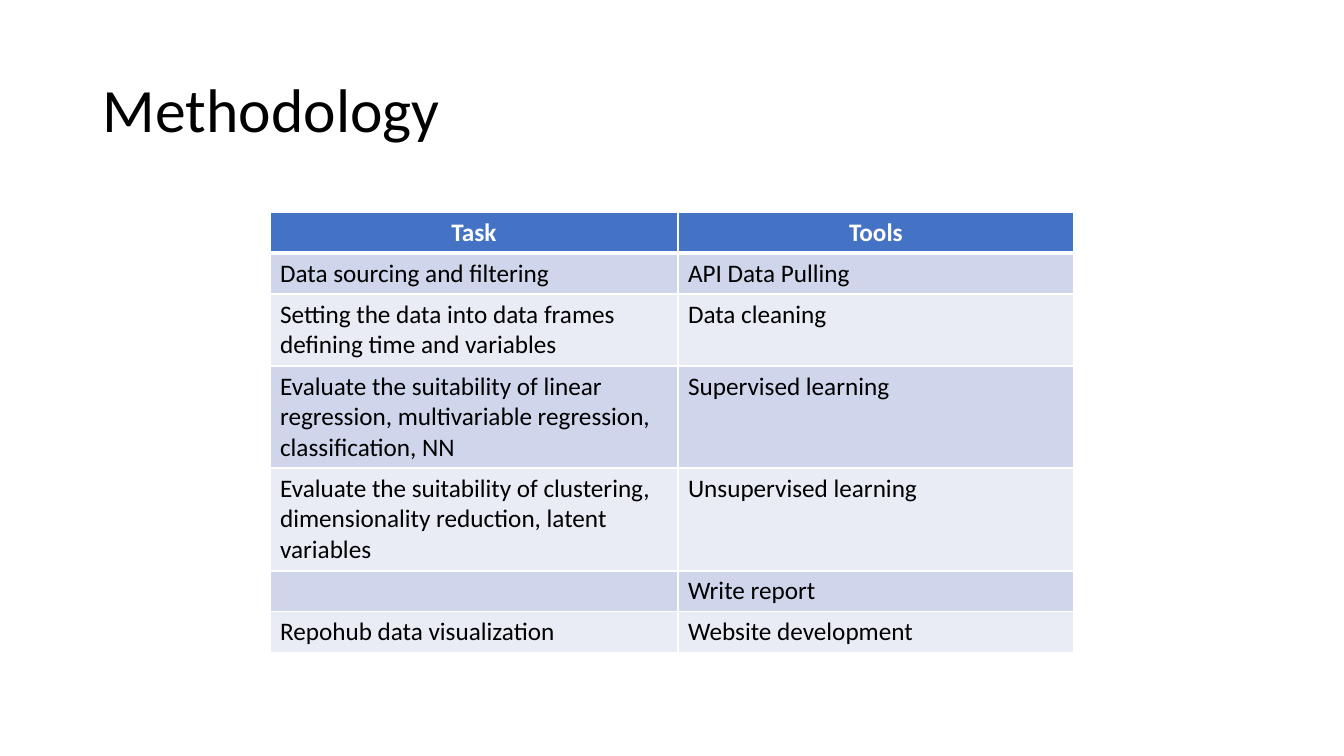
from lxml.etree import SubElement
from pptx import Presentation
from pptx.dml.color import RGBColor
from pptx.enum.text import MSO_ANCHOR, PP_ALIGN
from pptx.oxml.ns import qn
from pptx.util import Emu, Pt

COLORS = {"text": "000000", "white": "FFFFFF", "header": "4472C4",
          "band_dark": "CFD5EA", "band_light": "E9EBF5"}
PX = 914400 / 100.8


def px(n):
    return Emu(round(n * PX))


class SlideBuilder:
    font = "Calibri"

    def __init__(self, prs):
        self.s = prs.slides.add_slide(prs.slide_layouts[6])

    def put_text(self, tf, text, color="text", size=18, bold=False, **para):
        p = tf.paragraphs[0]
        for name, value in para.items():
            setattr(p, name, value)
        if not text:
            return
        r = p.add_run()
        r.text = text
        for name, value in {"name": self.font, "size": Pt(size), "bold": bold}.items():
            setattr(r.font, name, value)
        r.font.color.rgb = RGBColor.from_string(COLORS[color])

    def text(self, box, text, **style):
        tf = self.s.shapes.add_textbox(*map(px, box)).text_frame
        for name, value in {"word_wrap": True, "vertical_anchor": MSO_ANCHOR.MIDDLE}.items():
            setattr(tf, name, value)
        self.put_text(tf, text, **style)

    def borders(self, cell, **widths):
        tcPr = cell._tc.get_or_add_tcPr()
        for side in "LRTB":
            ln = SubElement(tcPr, qn(f"a:ln{side}"), w=str(int(Pt(widths.get(side, 1)))))
            fill = SubElement(ln, qn("a:solidFill"))
            SubElement(fill, qn("a:srgbClr"), val=COLORS["white"])

    def table(self, left, top, widths, heights, rows):
        box = (left, top, sum(widths), sum(heights))
        table = self.s.shapes.add_table(len(rows), len(widths), *map(px, box)).table
        for column, width in zip(table.columns, widths):
            column.width = px(width)
        for i, (row, height) in enumerate(zip(rows, heights)):
            table.rows[i].height = px(height)
            if i == 0:
                fill, edges = "header", {"B": 3}
                style = {"color": "white", "bold": True, "alignment": PP_ALIGN.CENTER}
            else:
                fill, edges = ("band_dark" if i % 2 else "band_light"), {}
                style = {}
            if i == 1:
                edges = {"T": 3}
            for j, text in enumerate(row):
                cell = table.cell(i, j)
                self.borders(cell, **edges)
                cell.fill.solid()
                cell.fill.fore_color.rgb = RGBColor.from_string(COLORS[fill])
                self.put_text(cell.text_frame, text, **style)


prs = Presentation()
prs.slide_width, prs.slide_height = px(1344), px(756)
slide = SlideBuilder(prs)

# Title
slide.text((93, 40, 1159, 146), "Methodology", size=44, line_spacing=0.9)

# Tasks and the tools they use
slide.table(270, 212, (408, 396), (41, 41, 72, 102, 103, 40, 41), [
    ("Task", "Tools"),
    ("Data sourcing and filtering", "API Data Pulling"),
    ("Setting the data into data frames defining time and variables", "Data cleaning"),
    ("Evaluate the suitability of linear regression, multivariable regression, "
     "classification, NN", "Supervised learning"),
    ("Evaluate the suitability of clustering, dimensionality reduction, latent variables",
     "Unsupervised learning"),
    ("", "Write report"),
    ("Repohub data visualization", "Website development"),
])

prs.save("out.pptx")
